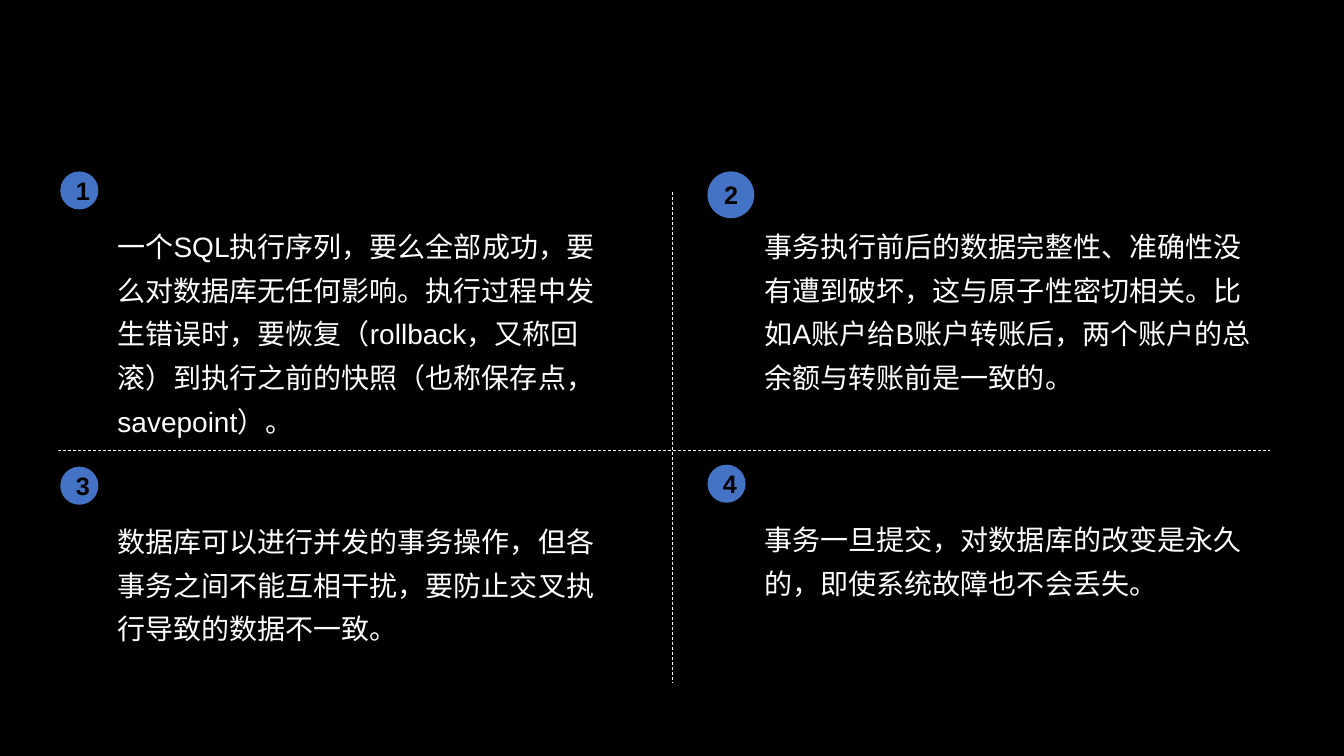
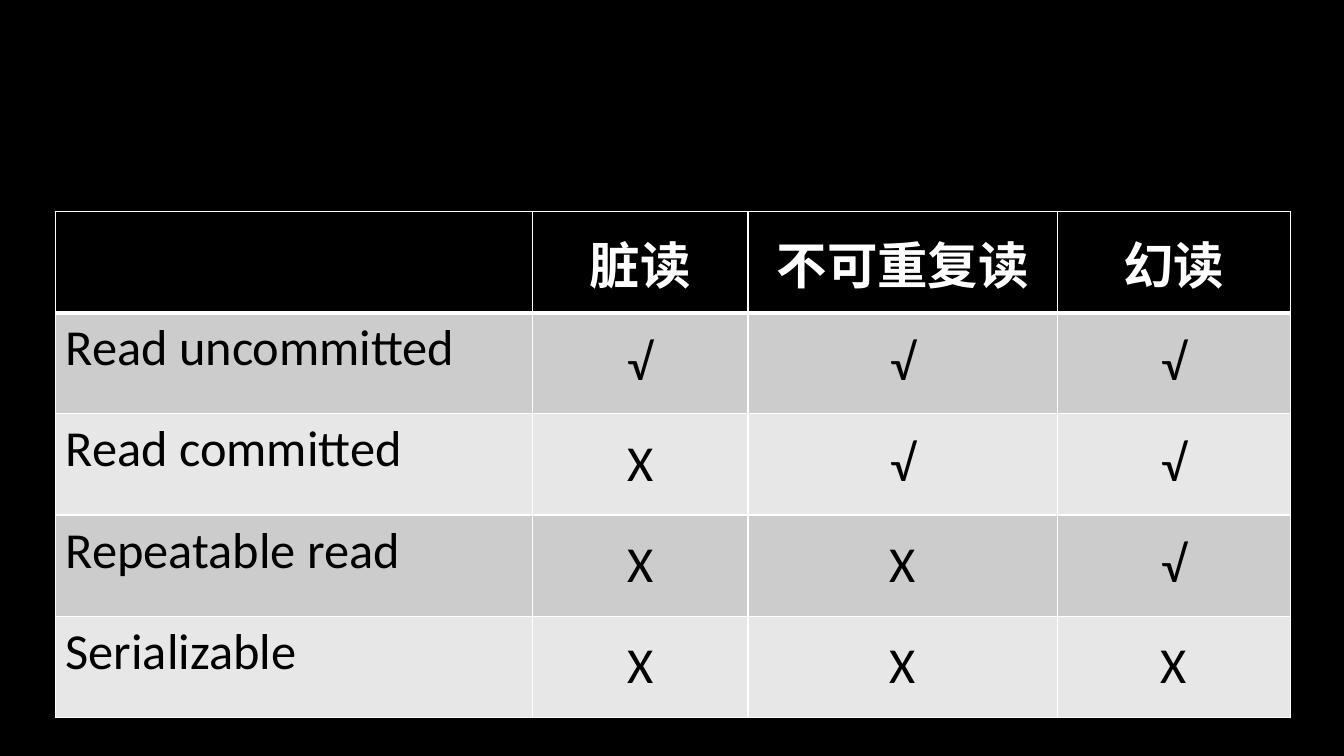
"""Build two slides on database transactions: the four properties and the isolation levels."""
import lxml.etree
import pptx
import pptx.dml.color
import pptx.enum.dml
import pptx.enum.shapes
import pptx.enum.text
import pptx.oxml.ns
import pptx.util

Cm = pptx.util.Cm
Pt = pptx.util.Pt
CENTER = pptx.enum.text.PP_ALIGN.CENTER
MIDDLE = pptx.enum.text.MSO_ANCHOR.MIDDLE
BLACK, WHITE, BLUE = "000000", "FFFFFF", "4472C4"
BAND_DARK, BAND_LIGHT = "CCCCCC", "E7E7E7"


def paint(color_format, color):
    color_format.rgb = pptx.dml.color.RGBColor.from_string(color)


def style_text(paragraph, font_name, size, color, bold=False):
    for run in paragraph.runs:
        run.font.name = font_name
        run.font.size = Pt(size)
        run.font.bold = bold
        paint(run.font.color, color)


presentation = pptx.Presentation()
presentation.slide_width = Cm(33.87)
presentation.slide_height = Cm(19.05)
background = presentation.slide_master.background.fill
background.solid()
paint(background.fore_color, BLACK)
blank_layout = presentation.slide_layouts[6]

slide = presentation.slides.add_slide(blank_layout)

dividers = [(1.47, 11.35, 32, 11.35), (16.94, 4.83, 16.94, 17.22)]
for ends in dividers:
    divider = slide.shapes.add_connector(
        pptx.enum.shapes.MSO_CONNECTOR.STRAIGHT, *[Cm(end) for end in ends])
    paint(divider.line.color, WHITE)
    divider.line.width = Pt(0.5)
    divider.line.dash_style = pptx.enum.dml.MSO_LINE.DASH
    lxml.etree.SubElement(divider.element.spPr, pptx.oxml.ns.qn("a:effectLst"))

properties = [
    (1.52, 4.32, 0.96, "一个SQL执行序列，要么全部成功，要么对数据库无任何影响。执行过程中发生错误时，"
     "要恢复（rollback，又称回滚）到执行之前的快照（也称保存点，savepoint）。"),
    (17.83, 4.32, 1.18, "事务执行前后的数据完整性、准确性没有遭到破坏，这与原子性密切相关。"
     "比如A账户给B账户转账后，两个账户的总余额与转账前是一致的。"),
    (1.52, 11.76, 0.96, "数据库可以进行并发的事务操作，但各事务之间不能互相干扰，"
     "要防止交叉执行导致的数据不一致。"),
    (17.83, 11.71, 0.96, "事务一旦提交，对数据库的改变是永久的，即使系统故障也不会丢失。"),
]
for number, (left, top, diameter, description) in enumerate(properties, 1):
    text_box = slide.shapes.add_textbox(
        Cm(left + 1.19), Cm(top + 1.08), Cm(12.98), Cm(4.5))
    text_box.text_frame.word_wrap = True
    text_box.text_frame.text = description
    paragraph = text_box.text_frame.paragraphs[0]
    paragraph.line_spacing = 1.3
    paragraph.space_after = Pt(8)
    style_text(paragraph, "Arial", 20, WHITE)

    badge = slide.shapes.add_shape(
        pptx.enum.shapes.MSO_SHAPE.OVAL, Cm(left), Cm(top), Cm(diameter), Cm(diameter))
    badge.shadow.inherit = False
    badge.fill.solid()
    paint(badge.fill.fore_color, BLUE)
    badge.line.fill.background()
    badge.text_frame.text = str(number)
    badge.text_frame.vertical_anchor = MIDDLE
    paragraph = badge.text_frame.paragraphs[0]
    paragraph.alignment = CENTER
    style_text(paragraph, "Arial", 18, BLACK, bold=True)

slide = presentation.slides.add_slide(blank_layout)

levels = [
    ["", "脏读", "不可重复读", "幻读"],
    ["Read uncommitted", "√", "√", "√"],
    ["Read committed", "X", "√", "√"],
    ["Repeatable read", "X", "X", "√"],
    ["Serializable", "X", "X", "X"],
]
column_widths = [12.01, 5.44, 7.8, 5.87]
row_height = 2.55
table = slide.shapes.add_table(
    len(levels), len(column_widths), Cm(1.4), Cm(5.33),
    Cm(sum(column_widths)), Cm(row_height * len(levels))).table
table.horz_banding = False
for column, width in zip(table.columns, column_widths):
    column.width = Cm(width)

for row_index, row_texts in enumerate(levels):
    table.rows[row_index].height = Cm(row_height)
    is_header = row_index == 0
    band = BLACK if is_header else BAND_DARK if row_index % 2 else BAND_LIGHT
    border_widths = {
        "a:lnL": 1,
        "a:lnR": 1,
        "a:lnT": 3 if row_index == 1 else 1,
        "a:lnB": 3 if is_header else 1,
    }
    for column_index, text in enumerate(row_texts):
        cell = table.cell(row_index, column_index)
        cell.text_frame.text = text
        paragraph = cell.text_frame.paragraphs[0]
        style_text(paragraph, "Calibri", 36, WHITE if is_header else BLACK, bold=is_header)
        if column_index > 0:
            cell.vertical_anchor = MIDDLE
            paragraph.alignment = CENTER

        cell_properties = cell._tc.get_or_add_tcPr()
        for tag, width in border_widths.items():
            border = lxml.etree.SubElement(
                cell_properties, pptx.oxml.ns.qn(tag), w=str(Pt(width)))
            border_fill = lxml.etree.SubElement(border, pptx.oxml.ns.qn("a:solidFill"))
            lxml.etree.SubElement(border_fill, pptx.oxml.ns.qn("a:srgbClr"), val=WHITE)
        cell.fill.solid()
        paint(cell.fill.fore_color, band)

presentation.save("out.pptx")
